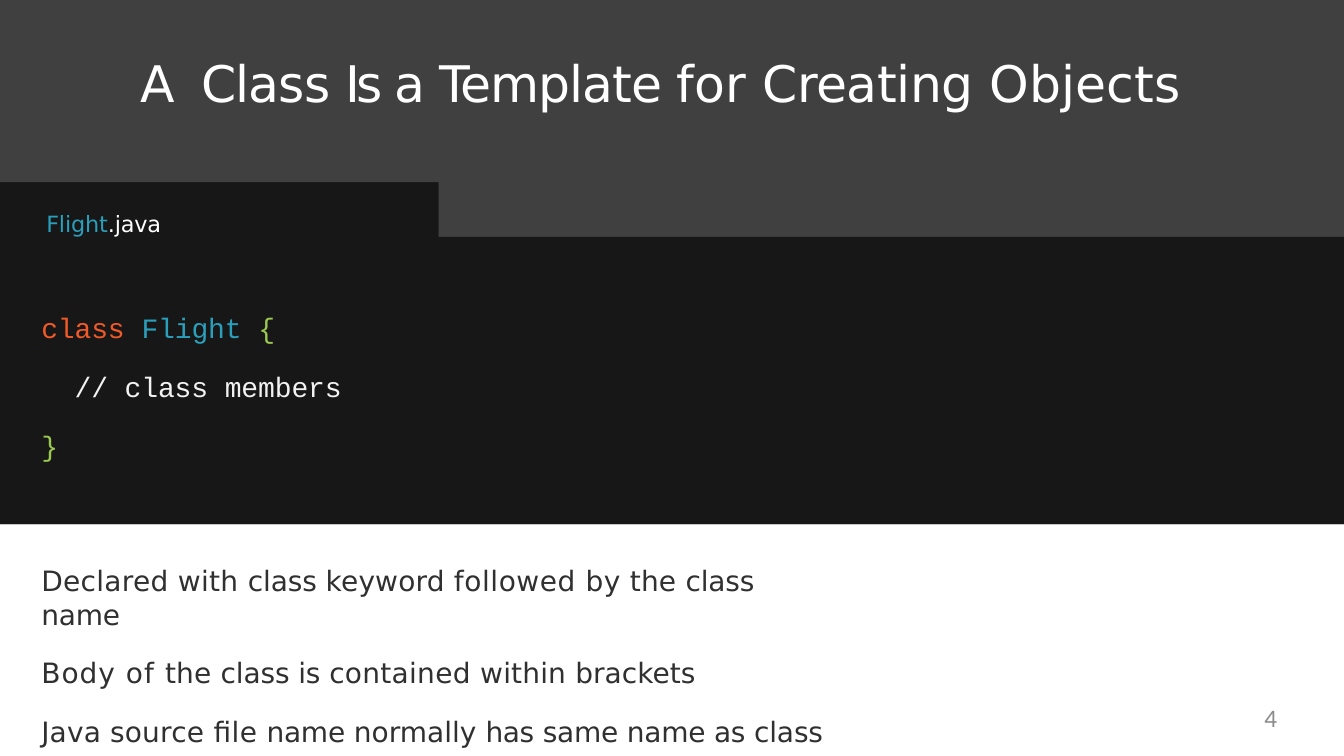
import pptx
import pptx.dml.color
import pptx.enum.shapes
import pptx.enum.text
import pptx.util

DARK, PANEL, WHITE = "404040", "171717", "FFFFFF"
ORANGE, BLUE, GREEN, PALE = "F05A28", "2A9FBC", "9BC850", "F2F2F2"
BODY, MUTED = "303030", "8C8C8C"
SANS, MONO, NUMBER = "DejaVu Sans", "Courier New", "Calibri"

# Edges, in percent of the slide's height or width
TAB_TOP, BAND_END, CODE_TOP, CODE_END = 24.13, 31.33, 33.6, 69.33
TAB_WIDTH = 32.63

TITLE = [("A ", 3.8), ("Class ", -0.6), ("Is ", -3.1), ("a ", -1),
         ("Template ", -0.8), ("for ", 0), ("Creating ", -0.3), ("Objects", 0.1)]
POINTS = [
    [("Declared with ", 0.2), ("class ", -0.1), ("keyword ", 0.1), ("followed ", 0.4),
     ("by ", 0.2), ("the ", 0.1), ("class ", -0.1), ("name", -0.2)],
    [("Body of ", 0.7), ("the ", 0.1), ("class is ", -0.1), ("contained ", 0.2),
     ("within ", 0.1), ("brackets", 0)],
    [("Java source ", 0.1), ("file ", 0.2), ("name ", -0.2), ("normally ", 0),
     ("has ", -0.3), ("same name ", -0.2), ("as ", -0.3), ("class", -0.1)],
]
CODE = [
    [("class ", -0.1, ORANGE), ("Flight ", -0.1, BLUE), ("{", 0, GREEN)],
    [("// class members", -0.1, PALE)],
    [("}", 0, GREEN)],
]
FILE_NAME = [("Flight", -0.1, BLUE), (".java", -0.1, WHITE)]


def rgb(value):
    return pptx.dml.color.RGBColor.from_string(value)


class Deck:
    """Draws on one slide; positions are percentages of its width and height."""

    def __init__(self, width, height):
        self.prs = pptx.Presentation()
        self.prs.slide_width = pptx.util.Inches(width)
        self.prs.slide_height = pptx.util.Inches(height)
        self.s = self.prs.slides.add_slide(self.prs.slide_layouts[6])

    def x(self, share):
        return round(self.prs.slide_width * share / 100)

    def y(self, share):
        return round(self.prs.slide_height * share / 100)

    def box(self, left, top, width, height):
        return self.x(left), self.y(top), self.x(width), self.y(height)

    def paint(self, sp, fill):
        sp.shadow.inherit = False
        sp.fill.solid()
        sp.fill.fore_color.rgb = rgb(fill)
        sp.line.fill.background()
        return sp

    def rect(self, area, fill):
        kind = pptx.enum.shapes.MSO_SHAPE.RECTANGLE
        return self.paint(self.s.shapes.add_shape(kind, *self.box(*area)), fill)

    def outline(self, points, fill):
        corners = [(self.x(x), self.y(y)) for x, y in points]
        builder = self.s.shapes.build_freeform(*corners[0])
        builder.add_line_segments(corners[1:], close=True)
        return self.paint(builder.convert_to_shape(), fill)

    def textbox(self, area):
        return self.s.shapes.add_textbox(*self.box(*area))

    def set_text(self, sp, paragraphs, font, size, color=WHITE, top=0.02,
                 indents=(0.01,), align=pptx.enum.text.PP_ALIGN.LEFT):
        """Fills sp with paragraphs of (text, tracking in points[, colour]) runs."""
        tf = sp.text_frame
        tf.word_wrap = True
        tf.vertical_anchor = pptx.enum.text.MSO_ANCHOR.TOP
        tf.margin_left = tf.margin_right = tf.margin_bottom = 0
        tf.margin_top = pptx.util.Inches(top)
        for i, runs in enumerate(paragraphs):
            p = tf.add_paragraph() if i else tf.paragraphs[0]
            p.alignment = align
            p.space_before = pptx.util.Pt(18 if i else 0)
            pPr = p._p.get_or_add_pPr()
            pPr.set("marL", str(int(pptx.util.Inches(indents[i % len(indents)]))))
            pPr.set("indent", "0")
            for text, tracking, *own in runs:
                r = p.add_run()
                r.text = text
                r.font.name = font
                r.font.size = pptx.util.Pt(size)
                r.font.color.rgb = rgb(own[0] if own else color)
                r._r.get_or_add_rPr().set("spc", str(round(tracking * 100)))


def main():
    deck = Deck(13.33, 7.5)
    deck.rect((0, 0, 100, BAND_END), DARK)
    deck.rect((0, CODE_END, 100, 100 - CODE_END), WHITE)
    deck.outline([(100, BAND_END), (TAB_WIDTH, BAND_END), (TAB_WIDTH, TAB_TOP),
                  (0, TAB_TOP), (0, CODE_END), (100, CODE_END)], PANEL)

    code = deck.rect((0, CODE_TOP, 100, CODE_END - CODE_TOP), PANEL)
    deck.set_text(code, CODE, MONO, 20, top=0.56, indents=(0.41, 0.74, 0.41))

    deck.set_text(deck.textbox((10.35, 6.67, 77.72, 8.4)), [TITLE], SANS, 36)
    deck.set_text(deck.textbox((3, 74.27, 58.96, 20.4)), POINTS, SANS, 20, BODY)

    tab = deck.rect((0, TAB_TOP, TAB_WIDTH, BAND_END - TAB_TOP), PANEL)
    deck.set_text(tab, [FILE_NAME], SANS, 16, top=0.28, indents=(0.46,))

    deck.set_text(deck.textbox((72, 92.93, 23.03, 5.07)), [[("4", 0)]], NUMBER, 18,
                  MUTED, top=0, indents=(0,), align=pptx.enum.text.PP_ALIGN.RIGHT)
    deck.prs.save("out.pptx")


if __name__ == "__main__":
    main()
